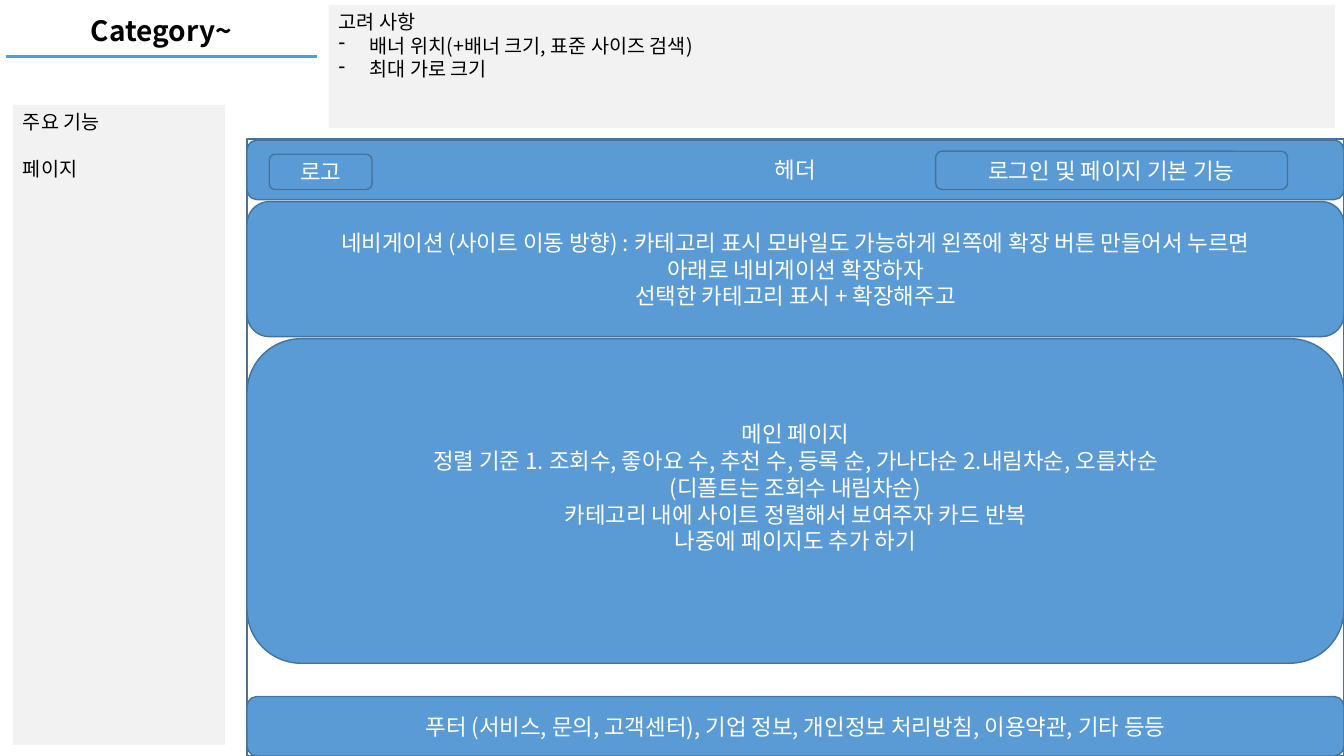
import pptx
import pptx.dml.color
import pptx.enum.shapes
import pptx.enum.text
import pptx.oxml.ns
import pptx.util
from lxml import etree

EMU_PER_PX = 9144
FONT = "Noto Sans CJK KR"
BLACK = pptx.dml.color.RGBColor(0x00, 0x00, 0x00)
WHITE = pptx.dml.color.RGBColor(0xFF, 0xFF, 0xFF)
NOTE_GRAY = pptx.dml.color.RGBColor(0xF2, 0xF2, 0xF2)
BLUE = pptx.dml.color.RGBColor(0x5B, 0x9B, 0xD5)
OUTLINE_BLUE = pptx.dml.color.RGBColor(0x43, 0x73, 0x9E)

RECTANGLE = pptx.enum.shapes.MSO_SHAPE.RECTANGLE
ROUNDED = pptx.enum.shapes.MSO_SHAPE.ROUNDED_RECTANGLE
LEFT = pptx.enum.text.PP_ALIGN.LEFT
CENTER = pptx.enum.text.PP_ALIGN.CENTER
TOP = pptx.enum.text.MSO_ANCHOR.TOP
MIDDLE = pptx.enum.text.MSO_ANCHOR.MIDDLE

PAGE_LEFT, PAGE_WIDTH = 245, 1088


def px(length):
    """Turn a length in px into EMU."""
    return pptx.util.Emu(length * EMU_PER_PX)


def write_lines(shape, lines, size, color, alignment, anchor, bold=False):
    """Write each line as one paragraph of the shape."""
    frame = shape.text_frame
    frame.word_wrap = True
    frame.vertical_anchor = anchor
    for index, line in enumerate(lines):
        paragraph = frame.add_paragraph() if index else frame.paragraphs[0]
        paragraph.alignment = alignment
        run = paragraph.add_run()
        run.text = line
        run.font.size = pptx.util.Pt(size)
        run.font.bold = bold
        run.font.name = FONT
        run.font.color.rgb = color
        properties = run._r.get_or_add_rPr()
        etree.SubElement(properties, pptx.oxml.ns.qn("a:ea"), typeface=FONT)


def add_dash(paragraph):
    """Give a paragraph a dash bullet with a hanging indent."""
    properties = paragraph._p.get_or_add_pPr()
    properties.set("marL", str(px(31)))
    properties.set("indent", str(px(-31)))
    etree.SubElement(properties, pptx.oxml.ns.qn("a:buChar"), char="-")


def add_box(slide, kind, box, fill=None, outline=None, outline_width=1):
    """Add a preset shape with a flat fill and an optional outline."""
    shape = slide.shapes.add_shape(kind, *map(px, box))
    shape.shadow.inherit = False
    if fill is None:
        shape.fill.background()
    else:
        shape.fill.solid()
        shape.fill.fore_color.rgb = fill
    if outline is None:
        shape.line.fill.background()
    else:
        shape.line.color.rgb = outline
        shape.line.width = pptx.util.Pt(outline_width)
    return shape


def add_note(slide, box, lines):
    """Add a gray note panel and return its paragraphs."""
    note = add_box(slide, RECTANGLE, box, NOTE_GRAY)
    write_lines(note, lines, 14, BLACK, LEFT, TOP)
    return note.text_frame.paragraphs


def add_block(slide, box, lines):
    """Add a blue rounded layout block with centred text."""
    block = add_box(slide, ROUNDED, box, BLUE, OUTLINE_BLUE)
    write_lines(block, lines, 16, WHITE, CENTER, MIDDLE)
    return block


def add_section(slide, top, height, lines):
    """Add a block that spans the page mock-up."""
    return add_block(slide, (PAGE_LEFT, top, PAGE_WIDTH, height), lines)


def add_title(slide, text):
    """Add the grouped title and its underline."""
    group = slide.shapes.add_group_shape()
    title = group.shapes.add_textbox(px(6), px(5), px(308), px(51))
    write_lines(title, [text], 20, BLACK, CENTER, MIDDLE, bold=True)
    underline = group.shapes.add_connector(
        pptx.enum.shapes.MSO_CONNECTOR.STRAIGHT, px(6), px(56), px(314), px(56))
    underline.line.color.rgb = BLUE
    underline.line.width = pptx.util.Pt(2.25)
    etree.SubElement(underline._element.spPr, pptx.oxml.ns.qn("a:effectLst"))


def main():
    """Build the category page wireframe slide."""
    presentation = pptx.Presentation()
    presentation.slide_width = px(1333)
    presentation.slide_height = px(750)
    slide = presentation.slides.add_slide(presentation.slide_layouts[6])

    add_title(slide, "Category~")
    features = add_note(slide, (13, 104, 210, 635), ["주요 기능", "페이지"])
    features[1].space_before = pptx.util.Pt(16.8)

    add_box(slide, RECTANGLE, (PAGE_LEFT, 138, PAGE_WIDTH, 612),
            outline=OUTLINE_BLUE, outline_width=1.5)
    add_section(slide, 139, 59, ["헤더"])
    add_block(slide, (267, 153, 102, 35), ["로고"])
    add_section(slide, 200, 134, [
        "네비게이션 (사이트 이동 방향) : 카테고리 표시 모바일도 가능하게 왼쪽에 확장 버튼 만들어서 누르면",
        "아래로 네비게이션 확장하자",
        "선택한 카테고리 표시 + 확장해주고",
    ])
    add_block(slide, (928, 150, 349, 38), ["로그인 및 페이지 기본 기능"])
    main_section = add_section(slide, 336, 322, [
        "메인 페이지",
        "정렬 기준 1. 조회수, 좋아요 수, 추천 수, 등록 순, 가나다순 2.내림차순, 오름차순",
        "(디폴트는 조회수 내림차순)",
        "카테고리 내에 사이트 정렬해서 보여주자 카드 반복",
        "나중에 페이지도 추가 하기",
    ])
    main_section.text_frame.margin_bottom = px(32)
    add_section(slide, 691, 59, [
        "푸터 (서비스, 문의, 고객센터), 기업 정보, 개인정보 처리방침, 이용약관, 기타 등등",
    ])

    considerations = add_note(slide, (326, 5, 998, 122), [
        "고려 사항",
        "배너 위치(+배너 크기, 표준 사이즈 검색)",
        "최대 가로 크기",
    ])
    for paragraph in considerations[1:]:
        add_dash(paragraph)

    presentation.save("out.pptx")


if __name__ == "__main__":
    main()
